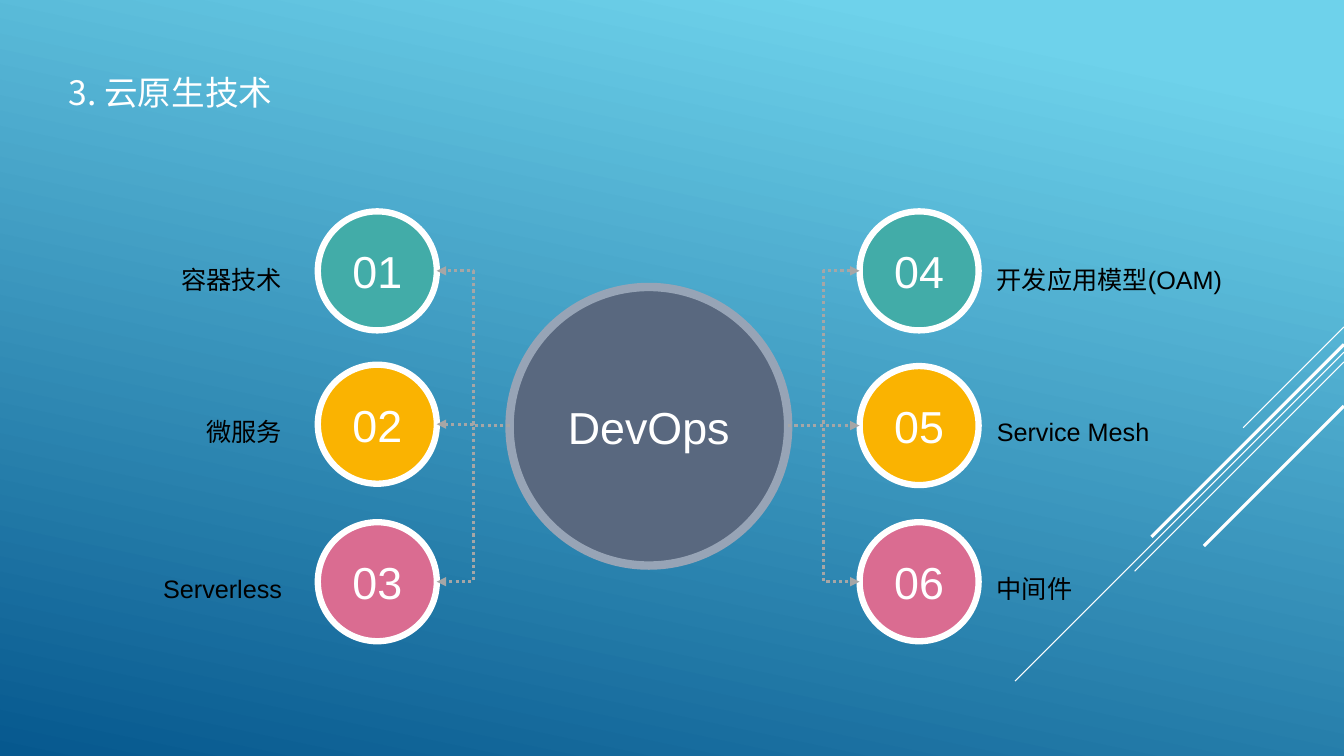
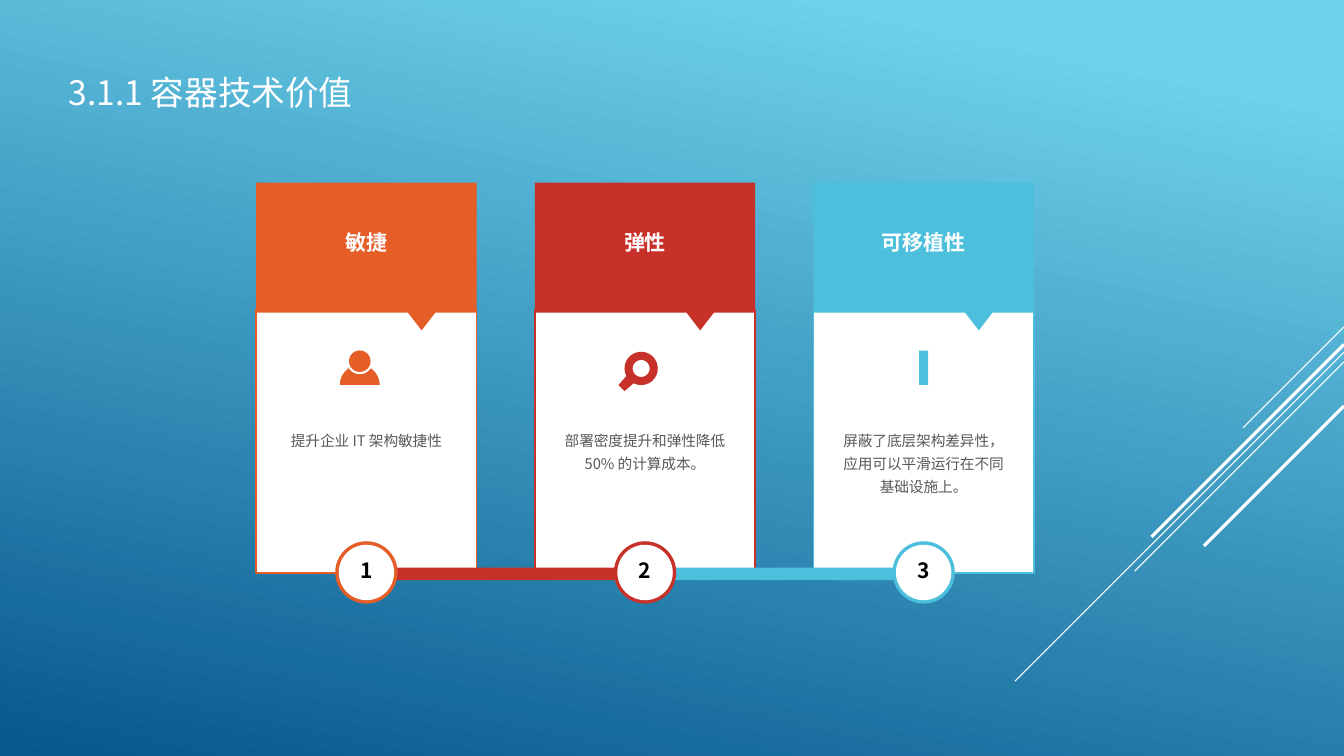
from math import cos, radians, sin

from lxml.etree import SubElement
from pptx import Presentation
from pptx.dml.color import RGBColor
from pptx.enum.dml import MSO_LINE
from pptx.enum.shapes import MSO_CONNECTOR, MSO_SHAPE
from pptx.enum.text import MSO_ANCHOR, PP_ALIGN
from pptx.oxml.ns import qn
from pptx.util import Pt

WIDTH, HEIGHT = 960, 540
SANS, CJK = "Arial", "Noto Sans CJK SC"
COLORS = {
    "sky": "6ED2EB", "deep": "06588E", "white": "FFFFFF", "black": "000000",
    "gray": "595959", "dots": "A6A6A6", "hub": "59687F", "hub_ring": "97A4B6",
    "teal": "42ACA8", "amber": "FAB301", "pink": "DA6C91",
    "orange": "E55D27", "red": "C7312A", "cyan": "4BBFDC",
}

# Text styles: font name, size, colour, bold, paragraph and frame settings
CENTER = {"alignment": PP_ALIGN.CENTER}
MIDDLE = {"vertical_anchor": MSO_ANCHOR.MIDDLE}
LABEL_FRAME = {**MIDDLE, "margin_left": 0, "margin_right": 0}
STYLES = {
    "title": (CJK, 24, "white", False, {}, {}),
    "circle": (SANS, 32, "white", False, CENTER, MIDDLE),
    "label_left": (SANS, 18, "black", False,
                   {"alignment": PP_ALIGN.RIGHT, "line_spacing": 1.5}, LABEL_FRAME),
    "label_right": (SANS, 18, "black", False, {"line_spacing": 1.5}, LABEL_FRAME),
    "card_title": (CJK, 15, "white", True, CENTER, {}),
    "card_text": (CJK, 10.5, "gray", False, {**CENTER, "line_spacing": 1.3}, {}),
    "badge": (CJK, 15, "black", True, CENTER,
              {**MIDDLE, "margin_left": 0, "margin_right": 0,
               "margin_top": 0, "margin_bottom": Pt(3)}),
}

# Diagonal lines that start at the right edge: top, run, line width
DIAGONALS = [(233.5, 72, 0.75), (251.5, 235, 0.75), (258.5, 149.5, 0.75),
             (246, 137.5, 2.25), (290, 100, 2.25)]

CIRCLE, HUB, HUB_LEFT, HUB_TOP = 85, 199, 364, 205
HUB_MIDDLE = 304
CIRCLE_COLORS = ["teal", "amber", "pink"]
LABEL_TOPS = [157.5, 266.5, 378.5]
LEFT_TECHNOLOGIES = [("01", "容器技术"), ("02", "微服务"), ("03", "Serverless")]
RIGHT_TECHNOLOGIES = [("04", "开发应用模型(OAM)"), ("05", "Service Mesh"), ("06", "中间件")]

CARD_LEFT, CARD_PITCH, CARD_WIDTH = 183, 199, 157.5
BADGE, BADGE_TOP, RING = 44.6, 386.6, 2.5
CARDS = [
    ("敏捷", "提升企业 IT 架构敏捷性", "orange", 24),
    ("弹性", "部署密度提升和弹性降低 50% 的计算成本。", "red", 40),
    ("可移植性", "屏蔽了底层架构差异性，应用可以平滑运行在不同基础设施上。", "cyan", 57),
]


def rgb(name):
    return RGBColor.from_string(COLORS[name])


def set_all(target, values):
    for name, value in values.items():
        setattr(target, name, value)


def write(shape, text, style):
    """Put one styled paragraph into a shape."""
    name, size, color, bold, paragraph_format, frame_format = STYLES[style]
    frame = shape.text_frame
    set_all(frame, {"word_wrap": True, **frame_format})
    paragraph = frame.paragraphs[0]
    set_all(paragraph, paragraph_format)
    run = paragraph.add_run()
    run.text = text
    set_all(run.font, {"name": name, "size": Pt(size), "bold": bold})
    run.font.color.rgb = rgb(color)
    SubElement(run._r.get_or_add_rPr(), qn("a:ea"), typeface=CJK)


def add_text(slide, text, style, left, top, width, height):
    box = slide.shapes.add_textbox(Pt(left), Pt(top), Pt(width), Pt(height))
    write(box, text, style)


def paint(shape, fill, line=None, line_width=0):
    shape.shadow.inherit = False
    shape.fill.solid()
    shape.fill.fore_color.rgb = rgb(fill)
    if line:
        shape.line.color.rgb = rgb(line)
        shape.line.width = Pt(line_width)
    else:
        shape.line.fill.background()


def add_box(slide, kind, left, top, width, height, fill, line=None, line_width=0):
    shape = slide.shapes.add_shape(kind, Pt(left), Pt(top), Pt(width), Pt(height))
    paint(shape, fill, line, line_width)
    return shape


def add_circle(slide, left, top, size, *colors):
    return add_box(slide, MSO_SHAPE.OVAL, left, top, size, size, *colors)


def add_outline(slide, fill, *contours):
    """Add a filled freeform; contours after the first cut holes."""
    contours = [[(Pt(x), Pt(y)) for x, y in contour] for contour in contours]
    builder = slide.shapes.build_freeform(*contours[0][0], scale=1.0)
    for index, contour in enumerate(contours):
        if index:
            builder.move_to(*contour[0])
        builder.add_line_segments(contour[1:], close=True)
    paint(builder.convert_to_shape(), fill)


def arc(x, y, radius, start, end, steps=24):
    """Points on a circle, with angles in degrees clockwise from the right."""
    angles = [radians(start + (end - start) * i / steps) for i in range(steps + 1)]
    return [(x + radius * cos(a), y + radius * sin(a)) for a in angles]


def add_line(slide, kind, start, end, color, width):
    line = slide.shapes.add_connector(kind, *map(Pt, start + end))
    line.line.color.rgb = rgb(color)
    line.line.width = Pt(width)
    SubElement(line.element.spPr, qn("a:effectLst"))
    return line


def add_dotted_arrow(slide, start, end):
    arrow = add_line(slide, MSO_CONNECTOR.ELBOW, start, end, "dots", 2.25)
    arrow.line.dash_style = MSO_LINE.ROUND_DOT
    SubElement(arrow.element.spPr.find(qn("a:ln")), qn("a:tailEnd"), type="triangle")


def set_background(master):
    fill = master.background.fill
    fill.gradient()
    fill.gradient_angle = 258
    for stop, color, position in zip(fill.gradient_stops, ("sky", "deep"), (0.1, 1)):
        stop.color.rgb = rgb(color)
        stop.position = position


def add_layout_diagonals(slide):
    """Draw the diagonals and move them to the layout that all slides share."""
    for top, run, width in DIAGONALS:
        line = add_line(slide, MSO_CONNECTOR.STRAIGHT, (WIDTH, top),
                        (WIDTH - run, top + run), "white", width)
        slide.slide_layout.shapes.element.append(line.element)


def add_title(slide, text, width):
    add_text(slide, text, "title", 42, 48, width, 36)


def add_technologies(slide, technologies, circle_left, middle_top, hub_edge,
                     arrow_end, label_style, label_left, label_width):
    """One column of numbered circles with labels and arrows from the hub."""
    tops = [151, middle_top, 373]
    for (number, label), color, top, label_top in zip(
            technologies, CIRCLE_COLORS, tops, LABEL_TOPS):
        circle = add_circle(slide, circle_left, top, CIRCLE, color, "white", 4.5)
        write(circle, number, "circle")
        add_dotted_arrow(slide, (hub_edge, HUB_MIDDLE), (arrow_end, top + CIRCLE / 2))
        add_text(slide, label, label_style, label_left, label_top, label_width, 73)


def build_technologies(slide):
    add_title(slide, "3. 云原生技术", 181)
    hub = add_circle(slide, HUB_LEFT, HUB_TOP, HUB, "hub", "hub_ring", 6)
    write(hub, "DevOps", "circle")
    add_technologies(slide, LEFT_TECHNOLOGIES, 227, 260.5, HUB_LEFT,
                     227 + CIRCLE, "label_left", 29.5, 172)
    add_technologies(slide, RIGHT_TECHNOLOGIES, 614, 261.5, HUB_LEFT + HUB,
                     614, "label_right", 712, 180)


def add_card(slide, left, title, text, color, text_height):
    add_box(slide, MSO_SHAPE.RECTANGLE, left, 221, CARD_WIDTH, 188.5,
            "white", color, 1.13)
    right, top, bottom = left + CARD_WIDTH, 130.5, 223.3
    add_outline(slide, color, [
        (left, top), (left, bottom), (left + 108.4, bottom), (left + 118.2, 236),
        (left + 128, bottom), (right, bottom), (right, top)])
    add_text(slide, title, "card_title", left + 29, 160.5, 99.5, 25)
    add_text(slide, text, "card_text", left + 11.5, 301, 134.5, text_height)


def add_person(slide, left, color):
    x, y, base = left + 74, 258, 275
    add_circle(slide, x - 7.7, y - 7.7, 15.4, color)
    add_outline(slide, color, arc(x, y, 9.4, 30, 150)
                + arc(x, base, 14.2, 235, 180) + arc(x, base, 14.2, 360, 305))


def add_magnifier(slide, left, color):
    x, y = left + 76, 263.2
    handle = [(x - 11.9, y + 16.2), (x - 16.2, y + 11.9)]
    add_outline(slide, color, arc(x, y, 11.9, 153, 477) + handle,
                arc(x, y, 6.1, 360, 0))


def add_bar(slide, left, color):
    add_box(slide, MSO_SHAPE.RECTANGLE, left + 75.5, 250.5, 6.5, 24.5, color)


def add_badge(slide, center, number, color):
    left = center - BADGE / 2
    add_circle(slide, left, BADGE_TOP, BADGE, color)
    disc = add_circle(slide, left + RING, BADGE_TOP + RING, BADGE - 2 * RING, "white")
    write(disc, str(number), "badge")


def build_values(slide):
    add_title(slide, "3.1.1 容器技术价值", 230)
    lefts = [CARD_LEFT + CARD_PITCH * i for i in range(len(CARDS))]
    centers = [left + CARD_WIDTH / 2 for left in lefts]
    colors = [card[2] for card in CARDS]
    for left, card, add_icon in zip(lefts, CARDS, (add_person, add_magnifier, add_bar)):
        add_card(slide, left, *card)
        add_icon(slide, left, card[2])
    overlap = 4
    for center, color in zip(centers, colors[1:]):
        add_box(slide, MSO_SHAPE.RECTANGLE, center + BADGE / 2 - overlap, 405.5,
                CARD_PITCH - BADGE + 2 * overlap, 9, color)
    for number, (center, color) in enumerate(zip(centers, colors), 1):
        add_badge(slide, center, number, color)


def main():
    presentation = Presentation()
    set_all(presentation, {"slide_width": Pt(WIDTH), "slide_height": Pt(HEIGHT)})
    set_background(presentation.slide_master)
    blank = presentation.slide_layouts[6]
    slides = [presentation.slides.add_slide(blank) for _ in range(2)]
    add_layout_diagonals(slides[0])
    build_technologies(slides[0])
    build_values(slides[1])
    presentation.save("out.pptx")


if __name__ == "__main__":
    main()
